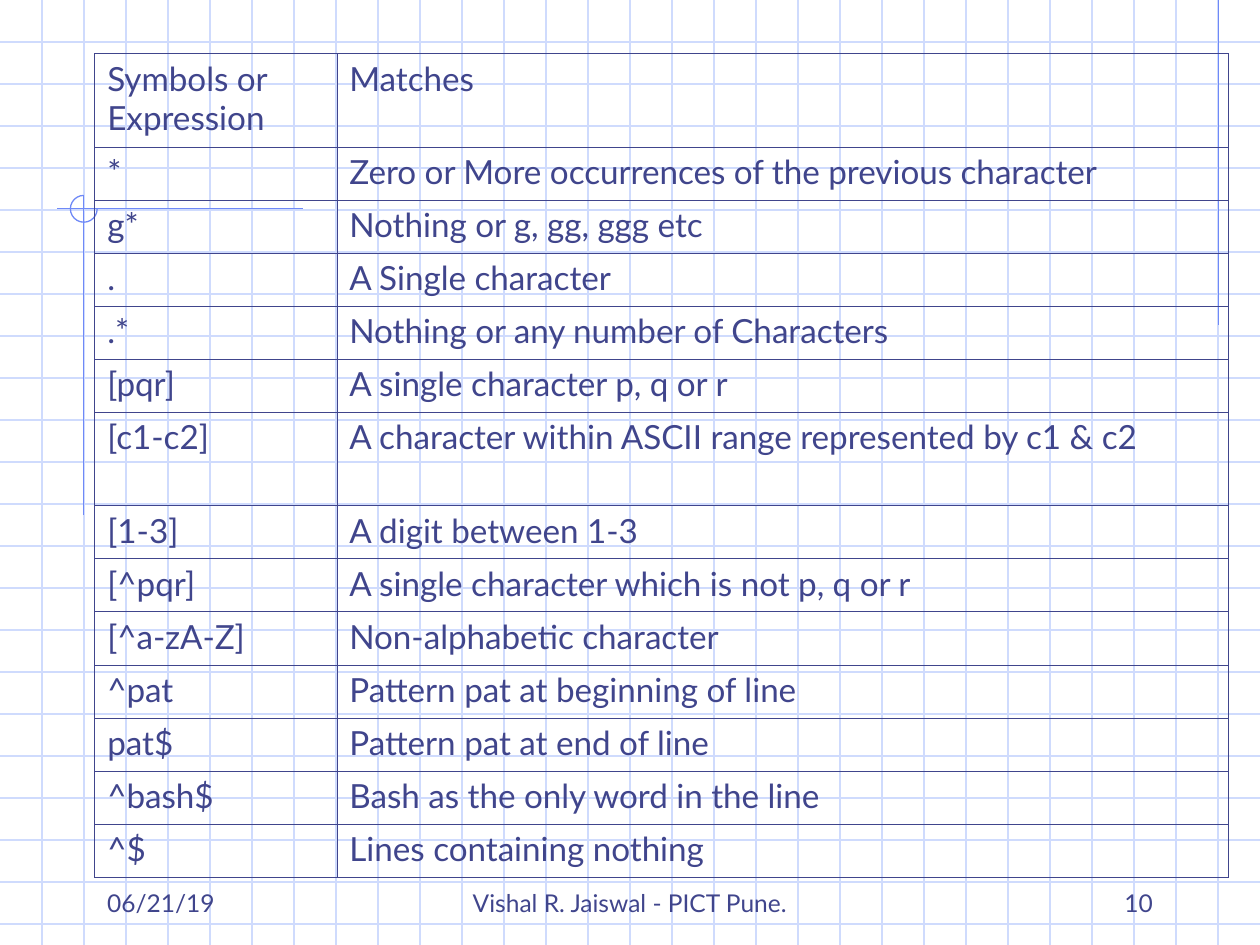
from lxml.etree import SubElement
from pptx import Presentation
from pptx.dml.color import RGBColor
from pptx.enum.shapes import MSO_CONNECTOR as Connector, MSO_SHAPE as Preset
from pptx.enum.text import MSO_ANCHOR as Anchor, PP_ALIGN as Align
from pptx.oxml import parse_xml
from pptx.oxml.ns import nsdecls, qn
from pptx.util import Cm, Pt

COLORS = {"paper": "FFFFFF", "grid": "CFDBFD", "accent": "6F89F7", "ink": "40458C"}
WIDTH, HEIGHT = 25.4, 19.05
GRID_STEP = WIDTH / 30
OUTER_BORDER, INNER_BORDER = 0.5, 0.23
COLUMN_WIDTHS = (4.88, 17.98)
ROW_HEIGHT, TALL_ROW_HEIGHT = 1.07, 1.88
TALL_ROWS = (0, 6)
ROWS = [
    ("Symbols or Expression", "Matches"),
    ("*", "Zero or More occurrences of the previous character"),
    ("g*", "Nothing or g, gg, ggg etc"),
    (".", "A Single character"),
    (".*", "Nothing or any number of Characters"),
    ("[pqr]", "A single character p, q or r"),
    ("[c1-c2]", "A character within ASCII range represented by c1 & c2"),
    ("[1-3]", "A digit between 1-3"),
    ("[^pqr]", "A single character which is not p, q or r"),
    ("[^a-zA-Z]", "Non-alphabetic character"),
    ("^pat", "Pattern pat at beginning of line"),
    ("pat$", "Pattern pat at end of line"),
    ("^bash$", "Bash as the only word in the line"),
    ("^$", "Lines containing nothing"),
]
ACCENT_LINES = [
    (24.56, 0, 24.56, 6.56),
    (6.1, 4.21, 1.14, 4.21),
    (1.69, 3.94, 1.69, 10.39),
]
FOOTERS = [
    (1.91, 5.29, "06/21/19", Align.LEFT),
    (8.68, 8.04, "Vishal R. Jaiswal - PICT Pune.", Align.CENTER),
    (18.2, 5.29, "10", Align.RIGHT),
]


class SlideBuilder:
    font_name = "Lato"
    line_width = Pt(0.75)

    def __init__(self, slide):
        self.slide = slide

    def color(self, name):
        return RGBColor.from_string(COLORS[name])

    def background(self):
        fill = self.slide.background.fill
        fill.solid()
        fill.fore_color.rgb = self.color("paper")

    def style_paragraph(self, paragraph, size):
        paragraph.font.name = self.font_name
        paragraph.font.size = Pt(size)
        paragraph.font.color.rgb = self.color("ink")

    def style_line(self, line, color):
        line.color.rgb = self.color(color)
        line.width = self.line_width

    def line(self, x1, y1, x2, y2, color):
        connector = self.slide.shapes.add_connector(
            Connector.STRAIGHT, Cm(x1), Cm(y1), Cm(x2), Cm(y2))
        self.style_line(connector.line, color)
        SubElement(connector._element.spPr, qn("a:effectLst"))

    def arc(self, left, top, diameter, start, end):
        shape = self.slide.shapes.add_shape(
            Preset.ARC, Cm(left), Cm(top), Cm(diameter), Cm(diameter))
        for index, angle in enumerate((start, end)):
            shape.adjustments[index] = angle * 0.6
        shape.shadow.inherit = False
        shape.fill.background()
        self.style_line(shape.line, "accent")

    def text(self, left, top, width, height, text, align):
        box = self.slide.shapes.add_textbox(Cm(left), Cm(top), Cm(width), Cm(height))
        frame = box.text_frame
        frame.word_wrap = True
        frame.vertical_anchor = Anchor.BOTTOM
        paragraph = frame.paragraphs[0]
        paragraph.text = text
        paragraph.alignment = align
        self.style_paragraph(paragraph, 14)

    def borders(self, cell, outer_sides):
        properties = cell._tc.get_or_add_tcPr()
        for index, side in enumerate("LRTB"):
            width = Pt(OUTER_BORDER if side in outer_sides else INNER_BORDER)
            properties.insert(index, parse_xml(
                f'<a:ln{side} {nsdecls("a")} w="{width}"><a:solidFill>'
                f'<a:srgbClr val="{COLORS["ink"]}"/></a:solidFill></a:ln{side}>'))

    def table(self, left, top, rows):
        heights = [TALL_ROW_HEIGHT if index in TALL_ROWS else ROW_HEIGHT
                   for index in range(len(rows))]
        table = self.slide.shapes.add_table(
            len(rows), len(COLUMN_WIDTHS), Cm(left), Cm(top),
            Cm(sum(COLUMN_WIDTHS)), Cm(sum(heights))).table
        table.first_row = table.horz_banding = False
        for column, width in zip(table.columns, COLUMN_WIDTHS):
            column.width = Cm(width)
        for row_index, (row, height) in enumerate(zip(rows, heights)):
            table.rows[row_index].height = Cm(height)
            for column_index, text in enumerate(row):
                cell = table.cell(row_index, column_index)
                cell.fill.background()
                paragraph = cell.text_frame.paragraphs[0]
                paragraph.text = text
                paragraph.line_spacing = 0.98
                self.style_paragraph(paragraph, 19)
                outer_sides = "L" if column_index == 0 else "R"
                if row_index == 0:
                    outer_sides += "T"
                if row_index == len(rows) - 1:
                    outer_sides += "B"
                self.borders(cell, outer_sides)


def main():
    presentation = Presentation()
    presentation.slide_width, presentation.slide_height = Cm(WIDTH), Cm(HEIGHT)
    builder = SlideBuilder(presentation.slides.add_slide(presentation.slide_layouts[6]))
    builder.background()
    for step in range(1, 23):
        builder.line(0, step * GRID_STEP, WIDTH, step * GRID_STEP, "grid")
    for step in range(1, 30):
        builder.line(step * GRID_STEP, 0, step * GRID_STEP, HEIGHT, "grid")
    for ends in ACCENT_LINES:
        builder.line(*ends, "accent")
    builder.arc(1.42, 3.94, 0.54, 0, 270)
    for left, width, text, align in FOOTERS:
        builder.text(left, 17.35, width, 1.27, text, align)
    builder.table(1.91, 1.08, ROWS)
    presentation.save("out.pptx")


if __name__ == "__main__":
    main()
